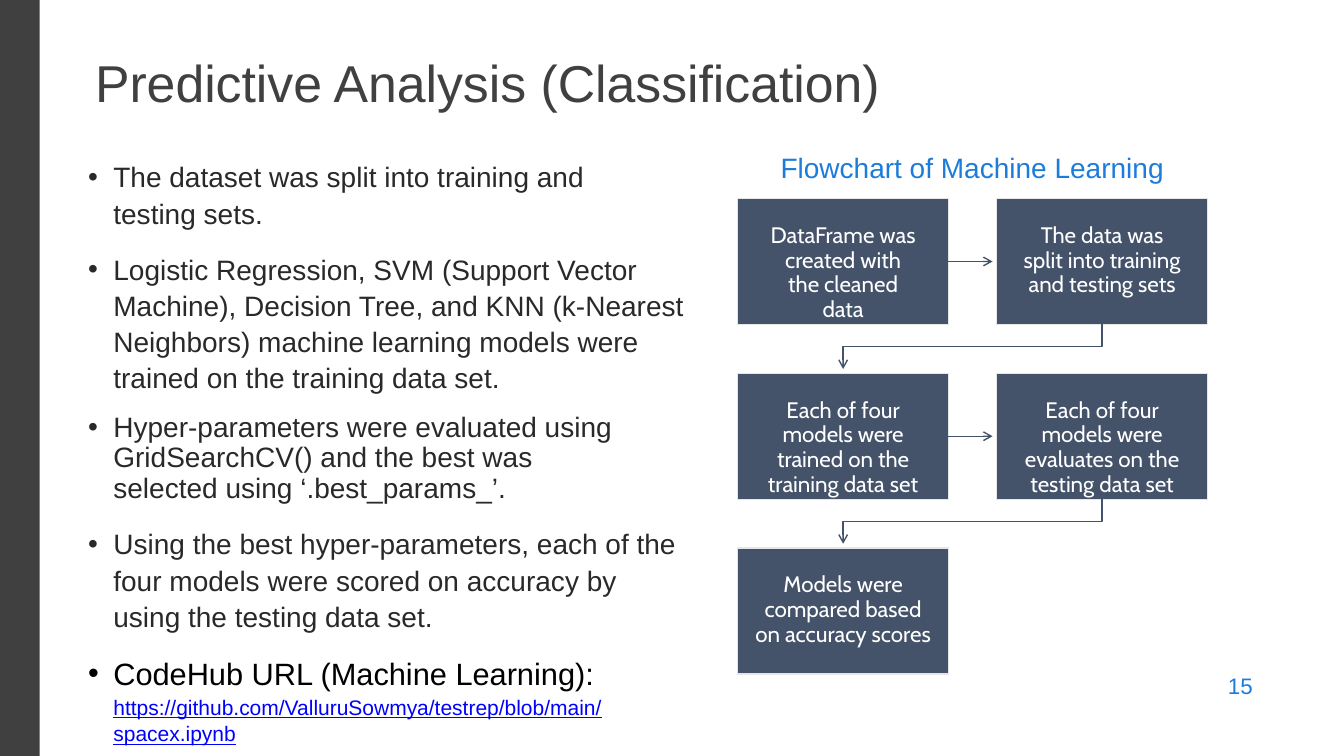
from lxml.etree import SubElement
from pptx import Presentation
from pptx.dml.color import RGBColor
from pptx.enum.shapes import MSO_CONNECTOR as CONN, MSO_SHAPE as SHAPE
from pptx.enum.text import MSO_ANCHOR as ANCHOR, PP_ALIGN as ALIGN
from pptx.oxml.ns import qn
from pptx.util import Pt

NAVY, BLUE, DARK, BODY = "44536A", "1C7CDB", "404040", "292929"

BULLETS = [
    ("The dataset was split into training and testing sets.",
     dict(line_spacing=1.08), 58),
    ("Logistic Regression, SVM (Support Vector Machine), Decision Tree, and KNN "
     "(k-Nearest Neighbors) machine learning models were trained on the training data set.",
     dict(line_spacing=1.08, space_before=Pt(14.1)), 0),
    ("Hyper-parameters were evaluated using GridSearchCV() and the best was "
     "selected using ‘.best_params_’.",
     dict(line_spacing=0.9, space_before=Pt(13.6)), 58),
    ("Using the best hyper-parameters, each of the four models were scored on "
     "accuracy by using the testing data set.",
     dict(line_spacing=1.08, space_before=Pt(14.3)), 14),
]
LINK_TITLE = "CodeHub URL (Machine Learning):"
LINK = "https://github.com/ValluruSowmya/testrep/blob/main/spacex.ipynb"

STEPS = [
    ("DataFrame was created with the cleaned data", 21.6),
    ("The data was split into training and testing sets", 17.3),
    ("Each of four models were trained on the training data set", 10.8),
    ("Each of four models were evaluates on the testing data set", 10.8),
    ("Models were compared based on accuracy scores", 10.8),
]


def rgb(value):
    return RGBColor.from_string(value)


def apply(target, values):
    for name, value in values.items():
        setattr(target, name, value)


def set_frame(tf, top):
    apply(tf, dict(margin_left=0, margin_right=0, margin_bottom=0, margin_top=Pt(top),
                   word_wrap=True, vertical_anchor=ANCHOR.TOP))


def write(p, text, size, color, font="Arial", fmt=None, left=0, right=0, hang=0, **style):
    apply(p, fmt or {})
    pPr = p._p.get_or_add_pPr()
    for name, value in dict(marL=left, marR=right, indent=-hang).items():
        pPr.set(name, str(Pt(value)))
    if hang:
        clr = SubElement(pPr, qn("a:buClr"))
        SubElement(clr, qn("a:srgbClr"), val=color)
        SubElement(pPr, qn("a:buFont"), typeface="Arial")
        SubElement(pPr, qn("a:buChar"), char="•")
    r = p.add_run()
    r.text = text
    apply(r.font, dict(size=Pt(size), name=font, **style))
    r.font.color.rgb = rgb(color)


def add_box(s, x, y, w, h, top=0.7):
    tf = s.shapes.add_textbox(Pt(x), Pt(y), Pt(w), Pt(h)).text_frame
    set_frame(tf, top)
    return tf


def add_label(s, x, y, w, h, text, size, color):
    write(add_box(s, x, y, w, h).paragraphs[0], text, size, color, left=0.9)


def add_rect(s, x, y, w, h, fill):
    sp = s.shapes.add_shape(SHAPE.RECTANGLE, Pt(x), Pt(y), Pt(w), Pt(h))
    sp.shadow.inherit = False
    sp.fill.solid()
    sp.fill.fore_color.rgb = rgb(fill)
    sp.line.fill.background()
    return sp


def add_bullets(s, x, y, w, h):
    tf = add_box(s, x, y, w, h, 3.6)
    p = tf.paragraphs[0]
    for text, fmt, right in BULLETS:
        write(p, text, 20, BODY, fmt=fmt, left=18.4, right=right, hang=18)
        p = tf.add_paragraph()
    write(p, LINK_TITLE, 22, "000000", left=18.4, hang=18,
          fmt=dict(line_spacing=1.16, space_before=Pt(11)))
    write(tf.add_paragraph(), LINK, 15, "0000FF", left=18.4, underline=True,
          fmt=dict(line_spacing=1.05, space_before=Pt(1.4)))


def add_arrow(s, kind, x1, y1, x2, y2):
    c = s.shapes.add_connector(kind, Pt(x1), Pt(y1), Pt(x2), Pt(y2))
    c.line.color.rgb = rgb(NAVY)
    c.line.width = Pt(1)
    SubElement(c.line._get_or_add_ln(), qn("a:tailEnd"), type="arrow", w="med", len="med")
    SubElement(c._element.spPr, qn("a:effectLst"))
    return c


def add_down_elbow(s, x1, y1, x2, y2):
    cx, cy = (x1 + x2) / 2, (y1 + y2) / 2
    dx, dy = (x1 - x2) / 2, (y2 - y1) / 2
    c = add_arrow(s, CONN.ELBOW, cx - dy, cy - dx, cx + dy, cy + dx)
    c._element.spPr.find(qn("a:xfrm")).set("rot", "5400000")


def add_flowchart(s, x, y, w, h):
    box_w, box_h, tip = 150.5, 90, 3
    step_x, step_y = w - box_w, (h - box_h) / 2
    for i, (text, pad) in enumerate(STEPS):
        row, col = divmod(i, 2)
        left, top = x + col * step_x, y + row * step_y
        sp = add_rect(s, left, top, box_w, box_h, NAVY)
        sp.line.color.rgb = rgb("E7E6E6")
        sp.line.width = Pt(0.96)
        set_frame(sp.text_frame, 18)
        write(sp.text_frame.paragraphs[0], text, 16, "FFFFFF", "Cabin", left=pad, right=pad,
              fmt=dict(alignment=ALIGN.CENTER, line_spacing=0.92))
        if i == len(STEPS) - 1:
            continue
        if col == 0:
            mid = top + box_h / 2
            c = add_arrow(s, CONN.STRAIGHT, left + box_w, mid, left + step_x - tip, mid)
            c.begin_connect(sp, 3)
        else:
            add_down_elbow(s, left + box_w / 2, top + box_h,
                           x + box_w / 2, top + step_y - tip)


def main():
    prs = Presentation()
    prs.slide_width, prs.slide_height = Pt(960), Pt(540)
    s = prs.slides.add_slide(prs.slide_layouts[6])
    add_rect(s, 0, 0, 28.4, 540, DARK)
    add_label(s, 67, 35.3, 806, 47, "Predictive Analysis (Classification)", 37, DARK)
    add_bullets(s, 62.6, 108.7, 438.5, 448)
    add_label(s, 556.6, 106.6, 290, 26, "Flowchart of Machine Learning", 20, BLUE)
    add_flowchart(s, 527, 141.8, 335.5, 339.6)
    add_label(s, 876.2, 479.5, 20.5, 21, "15", 16, BLUE)
    prs.save("out.pptx")


if __name__ == "__main__":
    main()
